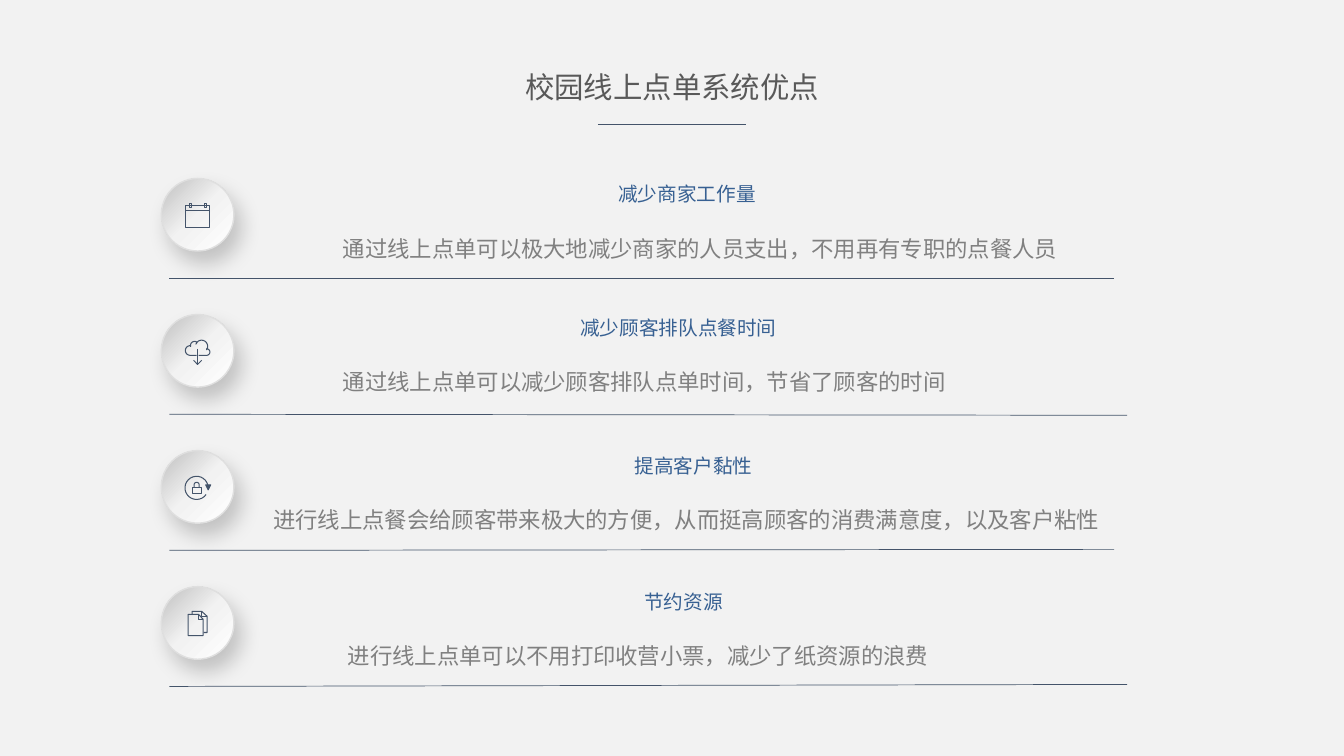
from dataclasses import dataclass
from math import cos, radians, sin

from pptx import Presentation
from pptx.dml.color import RGBColor
from pptx.enum.shapes import MSO_CONNECTOR, MSO_SHAPE
from pptx.enum.text import MSO_AUTO_SIZE, PP_ALIGN
from pptx.oxml import parse_xml
from pptx.oxml.ns import nsdecls, qn
from pptx.util import Inches, Pt


@dataclass(frozen=True)
class Theme:
    font: str = "Noto Sans CJK SC"
    background: str = "F2F2F2"
    title: str = "595959"
    heading: str = "376092"
    body: str = "808080"
    ink: str = "44546A"
    rim: str = "DFDFDF"
    button_stops: tuple = ((0, "BFBFBF"), (50, "F2F2F2"), (100, "FFFFFF"))
    title_size: float = 21
    heading_size: float = 14
    body_size: float = 16
    rule_width: float = 0.5
    icon_width: float = 0.75


THEME = Theme()


def arc(x, y, radius, start, end, steps=24):
    """Points along a circle, angles in degrees clockwise from the right."""
    angles = [radians(start + (end - start) * step / steps) for step in range(steps + 1)]
    return [(x + radius * cos(angle), y + radius * sin(angle)) for angle in angles]


def box(left, top, right, bottom):
    return [(left, top), (right, top), (right, bottom), (left, bottom)]


# Icon strokes: (points in hundredths of an inch from the button centre, style)
CALENDAR = [
    (box(-12, -9.5, 11.5, 12.5), "closed"),
    ([(-12, -4.5), (11.5, -4.5)], "open"),
    (box(-8.5, -11.5, -6.5, -7.5), "closed"),
    (box(6.5, -11.5, 8.5, -7.5), "closed"),
]
CLOUD = [
    ([(-1, 4.5)] + arc(-7.3, -0.3, 4.8, 90, 270) + arc(-3, -5.3, 4, 165, 310)
     + arc(4, -4.5, 6, 200, 395) + arc(9, 1.25, 3.25, -90, 90) + [(1, 4.5)], "open"),
    ([(0, -2), (0, 13.5)], "open"),
    ([(-4, 9.5), (0, 13.5), (4, 9.5)], "open"),
]
LOCK = [
    (arc(-1, 1, 11.5, 35, 360), "open"),
    ([(8, -2), (13, -2), (10.5, 3)], "filled"),
    (box(-5.5, 0.5, 3.5, 6.5), "closed"),
    ([(-3.5, 0.5)] + arc(-1, -2, 2.5, 180, 360) + [(1.5, 0.5)], "open"),
]
PAGES = [
    ([(-9.5, -8.5), (1, -8.5), (5.5, -3.5), (5.5, 12.5), (-9.5, 12.5)], "closed"),
    ([(0.5, -8.5), (0.5, -3.5), (5.5, -3.5)], "open"),
    ([(-5.5, -8.5), (-5.5, -11.5), (4, -11.5), (9.5, -6.5), (9.5, 9.5), (6, 9.5)], "open"),
    ([(3.5, -11.5), (3.5, -6.5), (9.5, -6.5)], "open"),
]

TITLE = "校园线上点单系统优点"
# heading, body, icon, text top, text width, heading indent, body indent, rule end, rule rise
ADVANTAGES = [
    ("减少商家工作量", "通过线上点单可以极大地减少商家的人员支出，不用再有专职的点餐人员",
     CALENDAR, 1.81, 8.47, 0, 0.82, 11.05, 0),
    ("减少顾客排队点餐时间", "通过线上点单可以减少顾客排队点单时间，节省了顾客的时间",
     CLOUD, 3.13, 7.23, 1.07, 0.82, 11.18, 0.01),
    ("提高客户黏性", "进行线上点餐会给顾客带来极大的方便，从而挺高顾客的消费满意度，以及客户粘性",
     LOCK, 4.5, 8.6, 0, 0.13, 11.05, -0.01),
    ("节约资源", "进行线上点单可以不用打印收营小票，减少了纸资源的浪费",
     PAGES, 5.85, 8.2, 0.2, 0.87, 11.18, -0.02),
]
ROW_PITCH = 1.35
BUTTON_X, FIRST_BUTTON_Y, BUTTON_SIZE = 1.96, 2.13, 0.72
RULE_LEFT, FIRST_RULE_Y = 1.68, 2.76
TEXT_LEFT, TEXT_HEIGHT = 2.58, 0.77


def color(value):
    return RGBColor.from_string(value)


def format_paragraph(paragraph, size, value, alignment, indent=0):
    paragraph.alignment = alignment
    if indent:
        paragraph._p.get_or_add_pPr().set("marL", str(Inches(indent)))
    for run in paragraph.runs:
        run.font.name = THEME.font
        run.font.size = Pt(size)
        run.font.color.rgb = color(value)
        run._r.get_or_add_rPr().append(
            parse_xml(f'<a:ea {nsdecls("a")} typeface="{THEME.font}"/>'))


def add_text(slide, left, top, width, height, margin, wrap):
    shape = slide.shapes.add_textbox(*map(Inches, (left, top, width, height)))
    frame = shape.text_frame
    frame.margin_left = frame.margin_right = Inches(margin)
    frame.margin_top = frame.margin_bottom = Inches(margin)
    frame.word_wrap = wrap
    frame.auto_size = MSO_AUTO_SIZE.SHAPE_TO_FIT_TEXT
    return frame


def add_rule(slide, *ends):
    rule = slide.shapes.add_connector(MSO_CONNECTOR.STRAIGHT, *map(Inches, ends))
    rule.line.color.rgb = color(THEME.ink)
    rule.line.width = Pt(THEME.rule_width)
    rule._element.spPr.append(parse_xml(f'<a:effectLst {nsdecls("a")}/>'))


def add_button(slide, x, y):
    """A raised round button with a diagonal gradient and a soft shadow."""
    half = BUTTON_SIZE / 2
    button = slide.shapes.add_shape(
        MSO_SHAPE.OVAL, *map(Inches, (x - half, y - half, BUTTON_SIZE, BUTTON_SIZE)))
    stops = "".join(f'<a:gs pos="{share * 1000}"><a:srgbClr val="{value}"/></a:gs>'
                    for share, value in THEME.button_stops)
    properties = button._element.spPr
    properties.find(qn("a:prstGeom")).addnext(parse_xml(
        f'<a:gradFill {nsdecls("a")} rotWithShape="1"><a:gsLst>{stops}</a:gsLst>'
        '<a:lin ang="2700000" scaled="0"/></a:gradFill>'))
    button.line.color.rgb = color(THEME.rim)
    button.line.width = Pt(1)
    button.shadow.inherit = False
    properties.find(qn("a:effectLst")).append(parse_xml(
        f'<a:outerShdw {nsdecls("a")} blurRad="{Pt(15)}" dist="{Pt(10)}" '
        f'dir="{59 * 60000}" algn="tl" rotWithShape="0">'
        '<a:srgbClr val="000000"><a:alpha val="20000"/></a:srgbClr></a:outerShdw>'))


def add_icon(slide, strokes, x, y):
    group = slide.shapes.add_group_shape()
    for points, style in strokes:
        places = [(Inches(x + across / 100), Inches(y + down / 100)) for across, down in points]
        builder = group.shapes.build_freeform(*places[0])
        builder.add_line_segments(places[1:], close=style != "open")
        stroke = builder.convert_to_shape()
        stroke.shadow.inherit = False
        stroke.line.color.rgb = color(THEME.ink)
        stroke.line.width = Pt(THEME.icon_width)
        if style == "filled":
            stroke.fill.solid()
            stroke.fill.fore_color.rgb = color(THEME.ink)
        else:
            stroke.fill.background()


def add_advantage(slide, row, advantage):
    (heading, body, icon, text_top, text_width,
     heading_indent, body_indent, rule_end, rule_rise) = advantage
    offset = row * ROW_PITCH
    button_y, rule_y = FIRST_BUTTON_Y + offset, FIRST_RULE_Y + offset
    add_button(slide, BUTTON_X, button_y)
    add_icon(slide, icon, BUTTON_X, button_y)
    add_rule(slide, RULE_LEFT, rule_y, rule_end, rule_y + rule_rise)
    frame = add_text(slide, TEXT_LEFT, text_top, text_width, TEXT_HEIGHT, 0, True)
    frame.text = f"{heading}\n{body}"
    first, second = frame.paragraphs
    format_paragraph(first, THEME.heading_size, THEME.heading, PP_ALIGN.CENTER, heading_indent)
    format_paragraph(second, THEME.body_size, THEME.body, PP_ALIGN.LEFT, body_indent)
    second.line_spacing = 1.2
    second.space_before = Pt(17)


def main():
    presentation = Presentation()
    presentation.slide_width, presentation.slide_height = Inches(13.33), Inches(7.5)
    slide = presentation.slides.add_slide(presentation.slide_layouts[6])
    slide.background.fill.solid()
    slide.background.fill.fore_color.rgb = color(THEME.background)

    title = add_text(slide, 5.14, 0.64, 3.05, 0.45, 0.05, False)
    title.text = TITLE
    format_paragraph(title.paragraphs[0], THEME.title_size, THEME.title, PP_ALIGN.CENTER)
    add_rule(slide, 5.93, 1.23, 7.4, 1.23)

    for row, advantage in enumerate(ADVANTAGES):
        add_advantage(slide, row, advantage)
    presentation.save("out.pptx")


if __name__ == "__main__":
    main()
